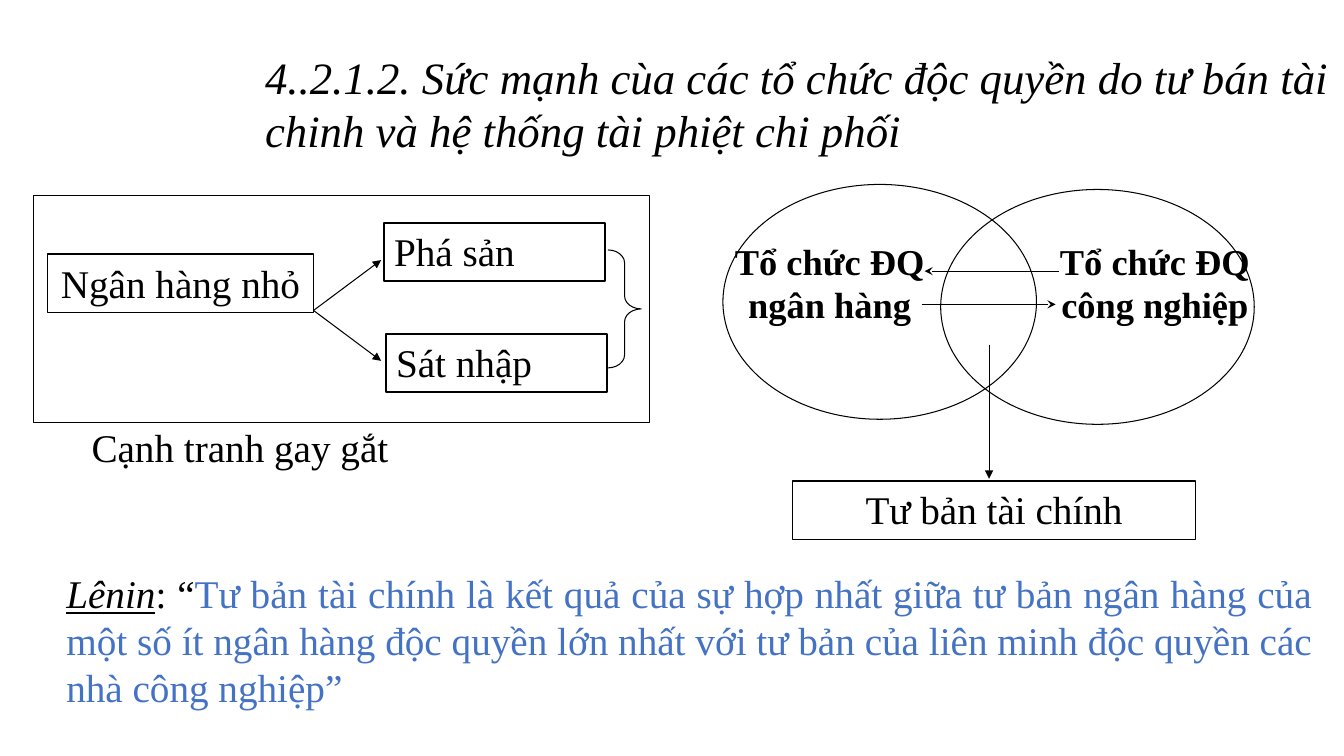
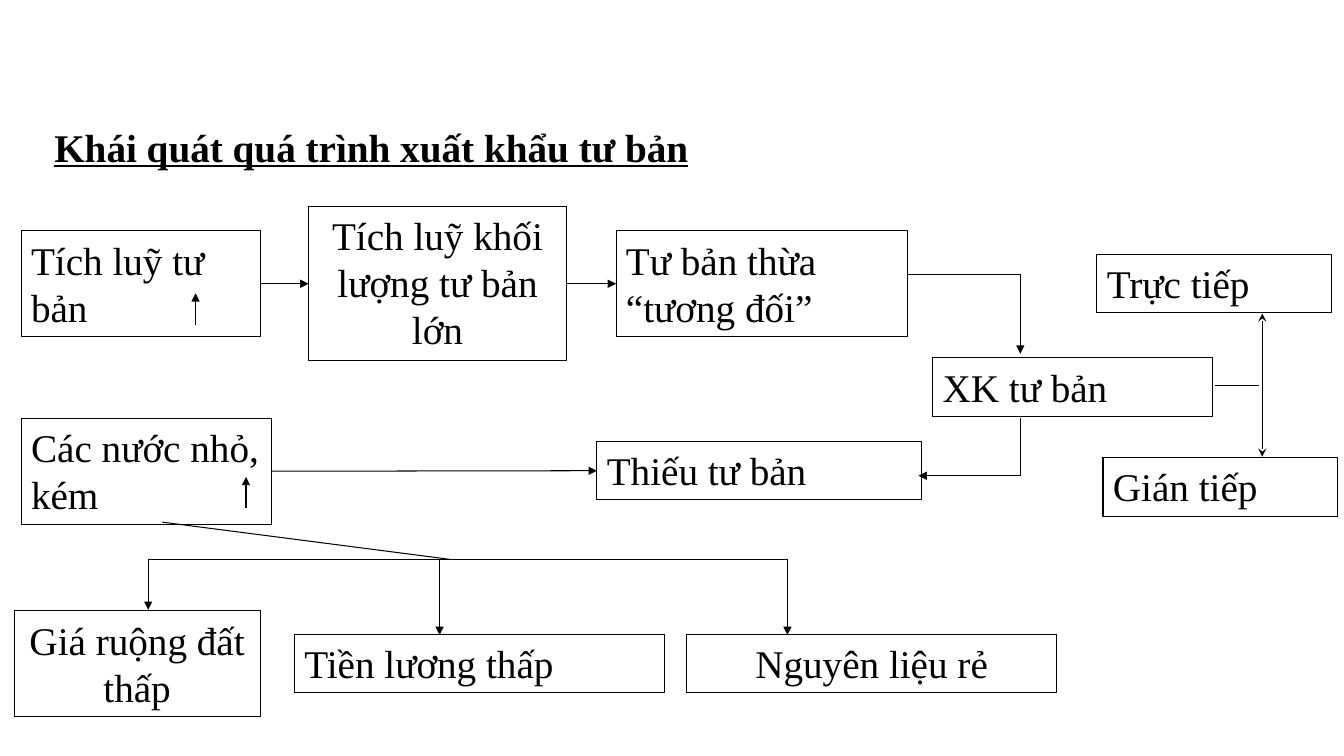
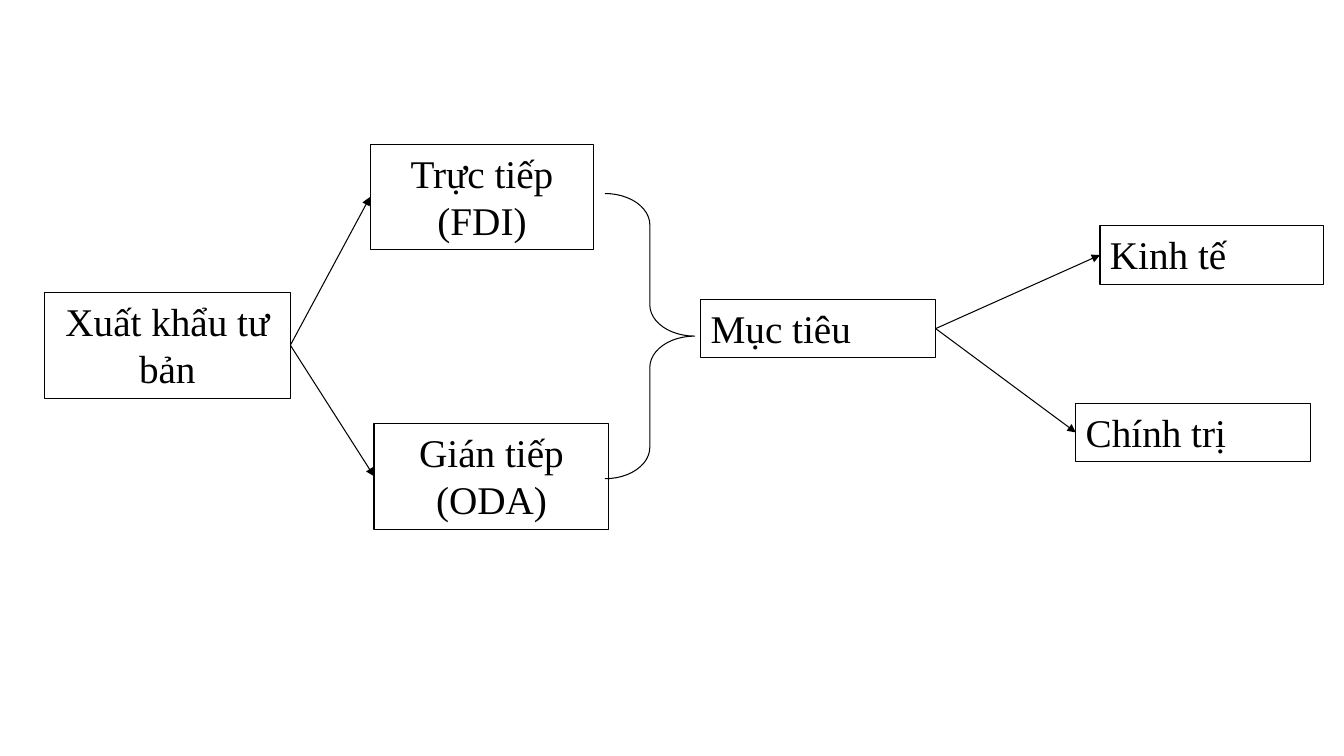
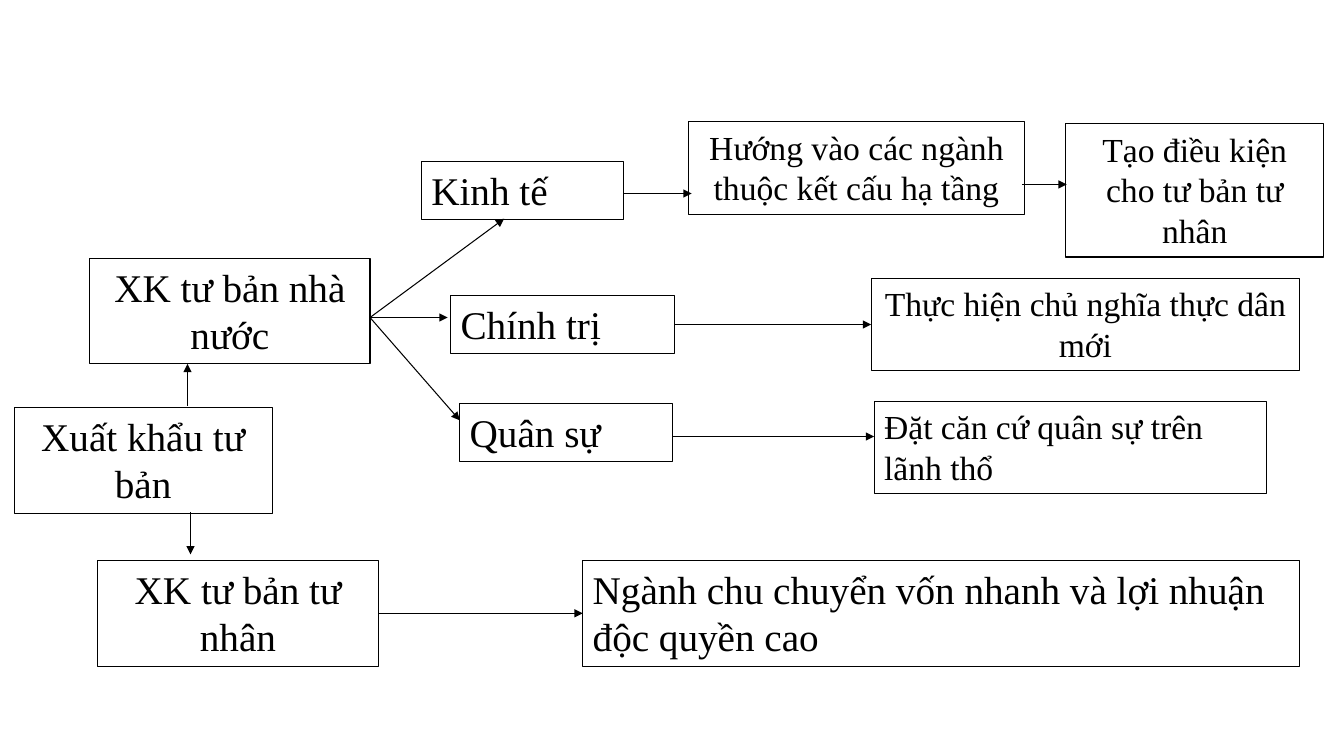
"""Build four slides of flow diagrams on monopoly, finance capital and capital export."""
from math import ceil

from lxml import etree
from pptx import Presentation
from pptx.dml.color import RGBColor
from pptx.enum.shapes import MSO_CONNECTOR, MSO_SHAPE
from pptx.enum.text import MSO_ANCHOR, MSO_AUTO_SIZE, PP_ALIGN
from pptx.oxml.ns import qn
from pptx.util import Pt

PX = 9144
LEFT, CENTER, JUSTIFY = PP_ALIGN.LEFT, PP_ALIGN.CENTER, PP_ALIGN.JUSTIFY
TOP, FIT = MSO_ANCHOR.TOP, MSO_AUTO_SIZE.SHAPE_TO_FIT_TEXT
RECT, OVAL, BRACE = MSO_SHAPE.RECTANGLE, MSO_SHAPE.OVAL, MSO_SHAPE.RIGHT_BRACE
STRAIGHT = MSO_CONNECTOR.STRAIGHT
LEFT_SITE, RIGHT_SITE = 1, 3
PLAIN = {"headEnd": None, "tailEnd": None}
ARROW = {"headEnd": None, "tailEnd": "triangle"}
STEALTH = {"headEnd": None, "tailEnd": "stealth"}
STEALTH_BACK = {"headEnd": "stealth", "tailEnd": None}
STEALTH_BOTH = {"headEnd": "stealth", "tailEnd": "stealth"}


class Theme:
    font = "Times New Roman"
    ink = RGBColor.from_string("000000")
    quote = RGBColor.from_string("4472C4")
    title, body, label, note = 32, 28, 26, 24
    thin, medium, thick = Pt(0.75), Pt(1), Pt(1.5)
    inset, char_width, line_height = 10, 0.625, 1.7


MID = {"align": CENTER}
NOTE = {"size": Theme.note}
MID_NOTE = {**MID, **NOTE}
MEDIUM = {**MID, "border": Theme.medium}
THICK = {"border": Theme.thick}
BARE = {"border": None}
LABEL = {**MID, **BARE, "size": Theme.label, "bold": True}
TITLE = {**BARE, "size": Theme.title, "italic": True}
HEADING = {**BARE, "bold": True, "underline": True}
QUOTE = [
    ("Lênin", {"italic": True, "underline": True}),
    (": “", {}),
    ("Tư bản tài chính là kết quả của sự hợp nhất giữa tư bản ngân hàng của một số ít "
     "ngân hàng độc quyền lớn nhất với tư bản của liên minh độc quyền các nhà công nghiệp”",
     {"color": Theme.quote}),
]

slides = [
    {
        "rows": [
            (103, [("4..2.1.2. Sức mạnh cùa các tổ chức độc quyền do tư bán tài chinh và hệ thống "
                    "tài phiệt chi phối", 253, 1122, TITLE)]),
            (250, [("Phá sản", 381, 219, THICK)]),
            (281, [("Ngân hàng nhỏ", 47, 264, MEDIUM),
                   ("Tổ chức ĐQ ngân hàng", 712, 222, LABEL),
                   ("Tổ chức ĐQ công nghiệp", 1033, 225, LABEL)]),
            (360, [("Sát nhập", 383, 219, THICK)]),
            (444, [("Cạnh tranh gay gắt", 81, 456, BARE)]),
            (506, [("Tư bản tài chính", 786, 400, MEDIUM)]),
            (636, [(QUOTE, 56, 1256, {**BARE, "align": JUSTIFY})]),
        ],
        "outlines": [
            (RECT, (33, 194, 611, 225), []),
            (OVAL, (717, 183, 311, 233), []),
            (OVAL, (933, 188, 311, 233), []),
            (BRACE, (603, 248, 33, 117), [0.39, 0.5]),
        ],
        "fans": [((311, 308), [(378, 258), (378, 358)])],
        "level": [(269, 917, 1050, STEALTH_BACK), (302, 914, 1047, STEALTH)],
        "upright": [(981, 342, 475, ARROW)],
    },
    {
        "rows": [
            (146, [("Khái quát quá trình xuất khẩu tư bản", 44, 1222, HEADING)]),
            (281, [("Tích luỹ tư bản", 21, 237, {}),
                   ("Tích luỹ khối lượng tư bản lớn", 306, 256, MID),
                   ("Tư bản thừa “tương đối”", 611, 289, {}),
                   ("Trực tiếp", 1088, 233, {})]),
            (384, [("XK tư bản", 925, 278, {})]),
            (467, [("Các nước nhỏ, kém", 21, 248, {}), ("Thiếu tư bản", 592, 322, {})]),
            (483, [("Gián tiếp", 1094, 233, {})]),
            (658, [("Giá ruộng đất thấp", 14, 244, MID),
                   ("Tiền lương thấp", 292, 367, {}),
                   ("Nguyên liệu rẻ", 681, 367, MID)]),
        ],
        "links": [
            ("Tích luỹ tư bản", "Tích luỹ khối lượng tư bản lớn"),
            ("Tích luỹ khối lượng tư bản lớn", "Tư bản thừa “tương đối”"),
            ("Các nước nhỏ, kém", "Thiếu tư bản"),
        ],
        "level": [
            (272, 900, 1012, PLAIN),
            (472, 1012, 911, ARROW),
            (382, 1205, 1249, PLAIN),
            (555, 147, 781, PLAIN),
        ],
        "upright": [
            (194, 322, 291, ARROW),
            (244, 504, 473, ARROW),
            (1012, 272, 351, ARROW),
            (1012, 415, 472, PLAIN),
            (1252, 311, 453, STEALTH_BOTH),
            (147, 555, 605, ARROW),
            (436, 555, 630, ARROW),
            (781, 555, 630, ARROW),
        ],
        "slanted": [(161, 518, 447, 555)],
    },
    {
        "rows": [
            (195, [("Trực tiếp (FDI)", 367, 222, MID)]),
            (253, [("Kinh tế", 1091, 222, {})]),
            (326, [("Mục tiêu", 695, 233, {})]),
            (342, [("Xuất khẩu tư bản", 44, 244, MID)]),
            (429, [("Chính trị", 1067, 233, {})]),
            (472, [("Gián tiếp (ODA)", 371, 233, MID)]),
        ],
        "outlines": [(BRACE, (600, 192, 89, 283), [0.35, 0.5])],
        "links": [
            ("Xuất khẩu tư bản", "Trực tiếp (FDI)"),
            ("Xuất khẩu tư bản", "Gián tiếp (ODA)"),
            ("Mục tiêu", "Kinh tế"),
            ("Mục tiêu", "Chính trị"),
        ],
    },
    {
        "rows": [
            (167, [("Hướng vào các ngành thuộc kết cấu hạ tầng", 683, 333, MID_NOTE)]),
            (189, [("Kinh tế", 418, 200, {}),
                   ("Tạo điều kiện cho tư bản tư nhân", 1057, 256, MID_NOTE)]),
            (308, [("XK tư bản nhà nước", 89, 278, MID)]),
            (322, [("Chính trị", 447, 222, {}),
                   ("Thực hiện chủ nghĩa thực dân mới", 864, 425, MID_NOTE)]),
            (429, [("Quân sự", 456, 211, {})]),
            (444, [("Đặt căn cứ quân sự trên lãnh thổ", 867, 389, NOTE)]),
            (456, [("Xuất khẩu tư bản", 14, 256, MID)]),
            (608, [("XK tư bản tư nhân", 97, 278, MID),
                   ("Ngành chu chuyển vốn nhanh và lợi nhuận độc quyền cao", 578, 711, {})]),
        ],
        "links": [
            ("Chính trị", "Thực hiện chủ nghĩa thực dân mới"),
            ("XK tư bản tư nhân", "Ngành chu chuyển vốn nhanh và lợi nhuận độc quyền cao"),
        ],
        "fans": [((367, 315), [(500, 217), (444, 315), (456, 417)])],
        "level": [(192, 619, 686, ARROW), (183, 1014, 1058, ARROW), (433, 667, 867, ARROW)],
        "upright": [(189, 508, 550, ARROW), (186, 403, 361, ARROW)],
    },
]


def outline(s, kind, box, width=Theme.thin):
    sp = s.shapes.add_shape(kind, *[v * PX for v in box])
    sp.shadow.inherit = False
    sp.fill.background()
    sp.line.color.rgb = Theme.ink
    sp.line.width = width
    return sp


def connect(s, ends, arrows):
    c = s.shapes.add_connector(STRAIGHT, *[v * PX for v in ends])
    c.line.color.rgb = Theme.ink
    c.line.width = Theme.thin
    props = c.element.spPr
    for tag, arrow in arrows.items():
        if arrow:
            etree.SubElement(props.find(qn("a:ln")), qn(f"a:{tag}"), type=arrow)
    etree.SubElement(props, qn("a:effectLst"))
    return c


prs = Presentation()
prs.slide_width, prs.slide_height = 1333 * PX, 750 * PX
blank = prs.slide_layouts[6]

for content in slides:
    s = prs.slides.add_slide(blank)
    boxes = {}
    for kind, box, adjustments in content.get("outlines", []):
        sp = outline(s, kind, box)
        for i, value in enumerate(adjustments):
            sp.adjustments[i] = value

    for middle, row in content["rows"]:
        for text, x, w, options in row:
            style = {"size": Theme.body, "color": Theme.ink, "name": Theme.font, **options}
            align = style.pop("align", LEFT)
            border = style.pop("border", Theme.thin)
            size = style["size"]
            runs = [(text, {})] if isinstance(text, str) else text
            length = sum(len(part) for part, _ in runs)
            lines = ceil(length * size * Theme.char_width / (w - 2 * Theme.inset))
            h = round(lines * size * Theme.line_height + Theme.inset)
            box = (x, middle - h // 2, w, h)
            if border:
                sp = outline(s, RECT, box, border)
                boxes[text] = sp
            else:
                sp = s.shapes.add_textbox(*[v * PX for v in box])
            tf = sp.text_frame
            for name, value in {"word_wrap": True, "auto_size": FIT, "vertical_anchor": TOP}.items():
                setattr(tf, name, value)
            p = tf.paragraphs[0]
            p.alignment = align
            for part, extra in runs:
                r = p.add_run()
                r.text = part
                look = {**style, **extra, "size": Pt(size)}
                r.font.color.rgb = look.pop("color")
                for name, value in look.items():
                    setattr(r.font, name, value)

    for start, end in content.get("links", []):
        c = connect(s, (0, 0, 0, 0), ARROW)
        c.begin_connect(boxes[start], RIGHT_SITE)
        c.end_connect(boxes[end], LEFT_SITE)
    for start, targets in content.get("fans", []):
        for target in targets:
            connect(s, start + target, ARROW)
    for y, x1, x2, arrows in content.get("level", []):
        connect(s, (x1, y, x2, y), arrows)
    for x, y1, y2, arrows in content.get("upright", []):
        connect(s, (x, y1, x, y2), arrows)
    for ends in content.get("slanted", []):
        connect(s, ends, PLAIN)

prs.save("out.pptx")
